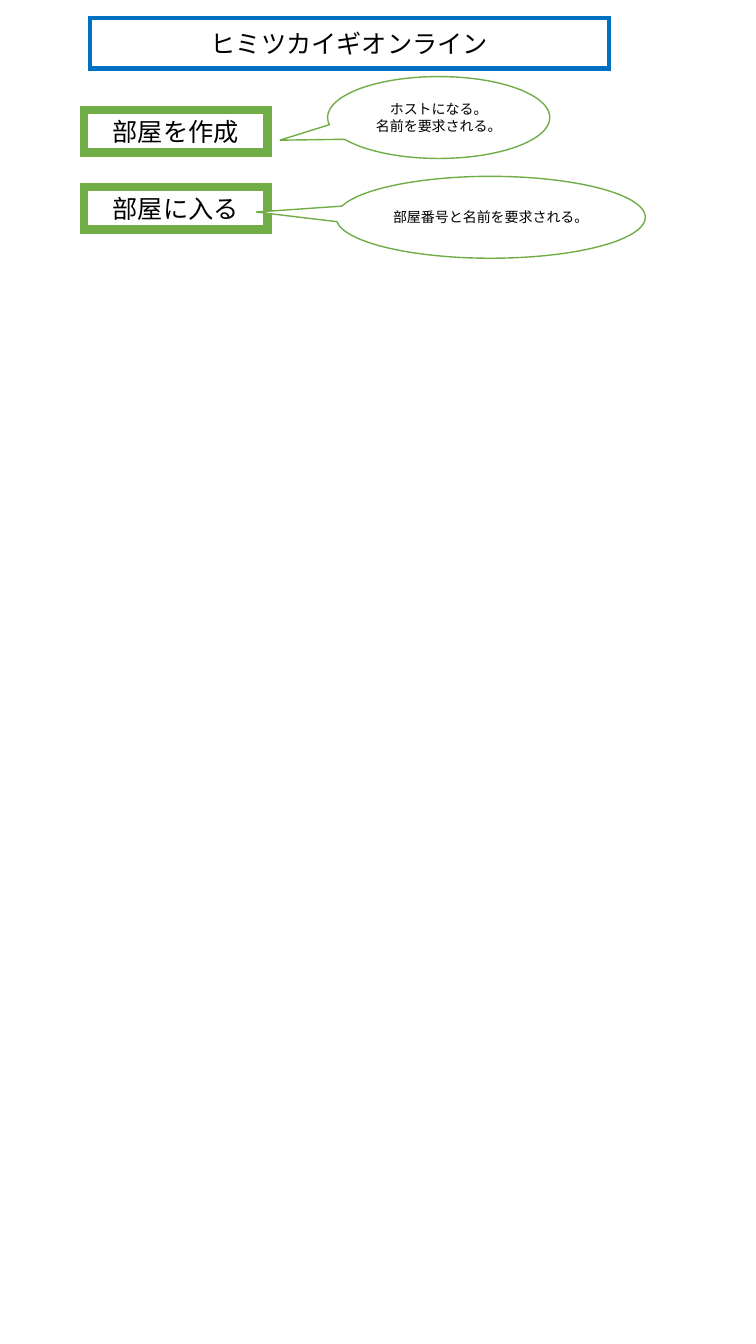
from lxml.etree import SubElement
from pptx import Presentation
from pptx.dml.color import RGBColor
from pptx.enum.shapes import MSO_SHAPE
from pptx.enum.text import MSO_ANCHOR, MSO_AUTO_SIZE, PP_ALIGN
from pptx.oxml.ns import qn
from pptx.util import Pt

BLUE, GREEN, WHITE, BLACK = "0070C0", "70AD47", "FFFFFF", "000000"


def set_color(color_format, hex_color):
    color_format.rgb = RGBColor.from_string(hex_color)


def write_box(shape, text, size=18, outline=GREEN, outline_width=6):
    shape.shadow.inherit = False
    shape.fill.solid()
    set_color(shape.fill.fore_color, WHITE)
    set_color(shape.line.color, outline)
    shape.line.width = Pt(outline_width)
    line_element = shape.element.spPr.find(qn("a:ln"))
    SubElement(line_element, qn("a:miter"), lim="800000")
    text_frame = shape.text_frame
    text_frame.text = text
    text_frame.word_wrap = True
    text_frame.auto_size = MSO_AUTO_SIZE.NONE
    text_frame.vertical_anchor = MSO_ANCHOR.MIDDLE
    for paragraph in text_frame.paragraphs:
        paragraph.alignment = PP_ALIGN.CENTER
        paragraph.font.name = "Calibri"
        paragraph.font.size = Pt(size)
        set_color(paragraph.font.color, BLACK)


presentation = Presentation()
presentation.slide_width = Pt(540)
presentation.slide_height = Pt(960)
slide = presentation.slides.add_slide(presentation.slide_layouts[5])

title = slide.shapes.title
title.left, title.top, title.width, title.height = Pt(64), Pt(13), Pt(371), Pt(36)
write_box(title, "ヒミツカイギオンライン", outline=BLUE, outline_width=3)

for top, label in [(78.5, "部屋を作成"), (133.5, "部屋に入る")]:
    button = slide.shapes.add_shape(
        MSO_SHAPE.RECTANGLE, Pt(60), Pt(top), Pt(131), Pt(30.5))
    write_box(button, label)

callouts = [
    (234, 54.7, 158.7, (-0.715, 0.277), "ホストになる。\n名前を要求される。"),
    (240, 126, 221, (-0.758, -0.064), "部屋番号と名前を要求される。"),
]
for left, top, width, tip, explanation in callouts:
    callout = slide.shapes.add_shape(
        MSO_SHAPE.OVAL_CALLOUT, Pt(left), Pt(top), Pt(width), Pt(58.5))
    callout.adjustments[0], callout.adjustments[1] = tip
    write_box(callout, explanation, size=10, outline_width=1)

presentation.save("out.pptx")
